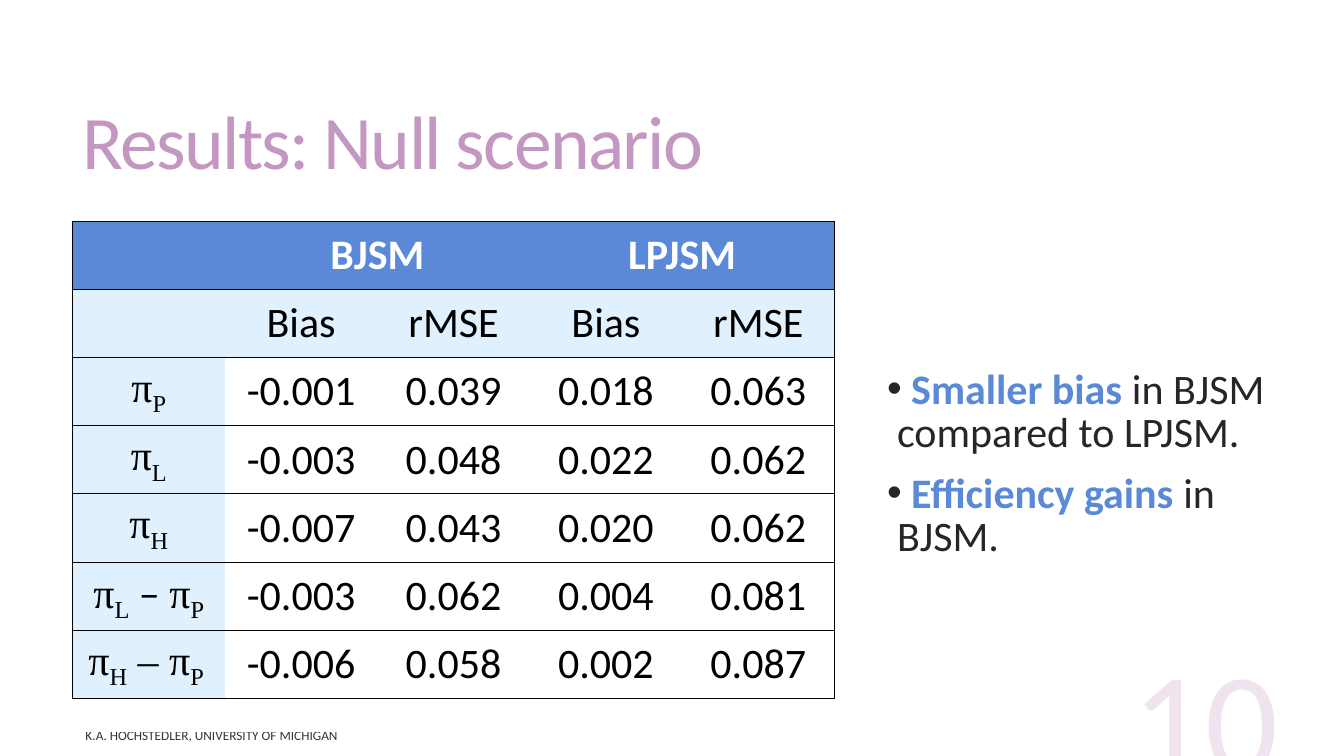
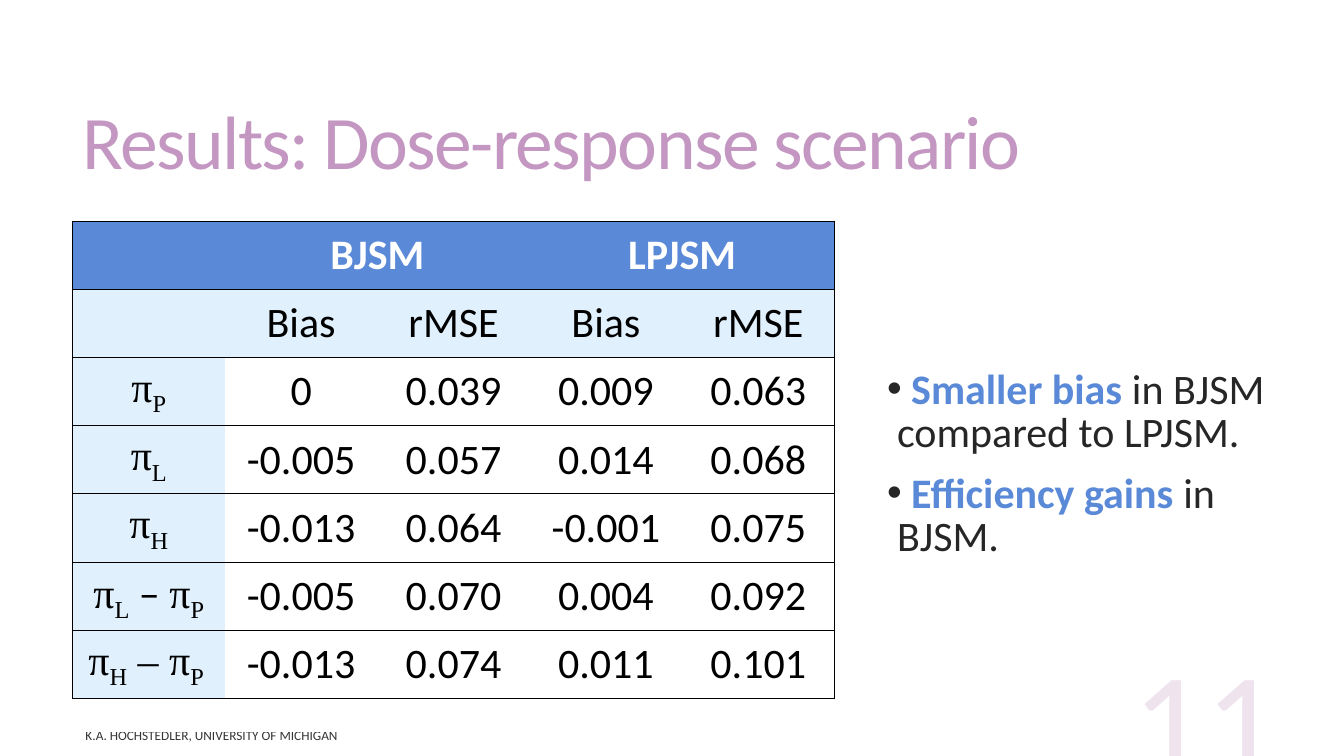
from dataclasses import dataclass
from typing import Optional

from lxml.etree import SubElement
from pptx import Presentation
from pptx.dml.color import RGBColor
from pptx.enum.text import MSO_ANCHOR, MSO_AUTO_SIZE, PP_ALIGN
from pptx.oxml.ns import qn
from pptx.util import Pt


@dataclass(frozen=True)
class Theme:
    sans: str = "Calibri"
    serif: str = "Times New Roman"
    mauve: str = "C397C1"
    blue: str = "5989D7"
    pale_blue: str = "E0F0FC"
    black: str = "000000"
    white: str = "FFFFFF"
    charcoal: str = "262626"
    title_size: float = 54
    text_size: float = 30
    footer_size: float = 9.5
    number_size: float = 103
    border_width: float = 0.75
    line_spacing: float = 0.85


@dataclass(frozen=True)
class Box:
    left: float
    top: float
    width: float
    height: float

    def lengths(self):
        return Pt(self.left), Pt(self.top), Pt(self.width), Pt(self.height)


@dataclass(frozen=True)
class Span:
    text: str
    font: Optional[str] = None
    color: Optional[str] = None
    bold: Optional[bool] = None
    subscript: bool = False


THEME = Theme()
PAGE_WIDTH, PAGE_HEIGHT = 960, 540
NO_STYLE_NO_GRID = "{2D5ABB26-0587-4C30-8999-92F81FD0307C}"

TITLE_BOX = Box(51.84, 39.6, 848.16, 130.32)
TABLE_BOX = Box(51.84, 157.9, 544.3, 341.25)
LIST_BOX = Box(626.4, 260.64, 321.84, 121.68)
NUMBER_BOX = Box(689.76, 462.96, 230.4, 110.16)
FOOTER_BOX = Box(54, 516.24, 396, 18)

FOOTER = "K.A. HOCHSTEDLER, UNIVERSITY OF MICHIGAN"
METHODS = ("BJSM", "LPJSM")
MEASURES = ("Bias", "rMSE")
PI = Span("π")


def sub(letter):
    return Span(letter, subscript=True)


ROW_LABELS = (
    (PI, sub("P")),
    (PI, sub("L")),
    (PI, sub("H")),
    (PI, sub("L"), Span(" – ", font=THEME.sans), PI, sub("P")),
    (PI, sub("H"), Span(" – π"), sub("P ")),
)
FINDINGS = (
    ("Smaller bias ", "in BJSM compared to LPJSM."),
    ("Efficiency gains ", "in BJSM."),
)
SCENARIOS = (
    (10, "Results: Null scenario", (
        ("-0.001", "0.039", "0.018", "0.063"),
        ("-0.003", "0.048", "0.022", "0.062"),
        ("-0.007", "0.043", "0.020", "0.062"),
        ("-0.003", "0.062", "0.004", "0.081"),
        ("-0.006", "0.058", "0.002", "0.087"),
    )),
    (11, "Results: Dose-response scenario", (
        ("0", "0.039", "0.009", "0.063"),
        ("-0.005", "0.057", "0.014", "0.068"),
        ("-0.013", "0.064", "-0.001", "0.075"),
        ("-0.005", "0.070", "0.004", "0.092"),
        ("-0.013", "0.074", "0.011", "0.101"),
    )),
)


def write(para, spans, size, color, font=THEME.sans, bold=False, align=PP_ALIGN.LEFT):
    """Fill a paragraph; spans carry only what differs from its font."""
    para.alignment = align
    para.font.name = font
    para.font.size = Pt(size)
    para.font.bold = bold
    para.font.color.rgb = RGBColor.from_string(color)
    for span in spans:
        run = para.add_run()
        run.text = span.text
        if span.font:
            run.font.name = span.font
        if span.color:
            run.font.color.rgb = RGBColor.from_string(span.color)
        if span.bold is not None:
            run.font.bold = span.bold
        if span.subscript:
            run._r.get_or_add_rPr().set("baseline", "-25000")


def set_opacity(para, percent):
    for color in para._p.iter(qn("a:srgbClr")):
        SubElement(color, qn("a:alpha"), val=str(percent * 1000))


def place(placeholder, box, anchor):
    """Move a placeholder and return its text frame."""
    placeholder.left, placeholder.top, placeholder.width, placeholder.height = box.lengths()
    frame = placeholder.text_frame
    frame.auto_size = MSO_AUTO_SIZE.NONE
    frame.word_wrap = True
    frame.vertical_anchor = anchor
    return frame


def add_title(page, box, text):
    para = place(page.shapes.title, box, MSO_ANCHOR.MIDDLE).paragraphs[0]
    write(para, [Span(text)], THEME.title_size, THEME.mauve)
    para.line_spacing = THEME.line_spacing
    para.runs[0]._r.get_or_add_rPr().set("spc", "-120")


def add_findings(page, box):
    frame = place(page.placeholders[1], box, MSO_ANCHOR.TOP)
    for index, (lead, rest) in enumerate(FINDINGS):
        para = frame.add_paragraph() if index else frame.paragraphs[0]
        spans = [Span(" "), Span(lead, color=THEME.blue, bold=True), Span(rest)]
        para.line_spacing = THEME.line_spacing
        para.space_before = Pt(13)
        write(para, spans, THEME.text_size, THEME.charcoal)
        properties = para._p.get_or_add_pPr()
        properties.set("marL", str(Pt(7.2)))
        properties.set("indent", str(-Pt(7.2)))
        bullet = SubElement(properties, qn("a:buChar"), char="•")
        properties.find(qn("a:defRPr")).addprevious(bullet)


def add_faded_text(page, box, text, size, color, opacity, anchor, align):
    frame = page.shapes.add_textbox(*box.lengths()).text_frame
    frame.word_wrap = True
    frame.vertical_anchor = anchor
    para = frame.paragraphs[0]
    write(para, [Span(text)], size, color, align=align)
    set_opacity(para, opacity)
    return frame


def add_page_number(page, box, number):
    frame = add_faded_text(page, box, str(number), THEME.number_size, THEME.mauve,
                           25, MSO_ANCHOR.BOTTOM, PP_ALIGN.RIGHT)
    frame.margin_bottom = 0


def add_footer(page, box):
    add_faded_text(page, box, FOOTER, THEME.footer_size, THEME.black,
                   80, MSO_ANCHOR.MIDDLE, PP_ALIGN.LEFT)


def format_cell(cell, edges, fill):
    """Rule the given edges (a subset of "LRTB", in that order), then fill."""
    cell.vertical_anchor = MSO_ANCHOR.MIDDLE
    properties = cell._tc.get_or_add_tcPr()
    for edge in edges:
        line = SubElement(properties, qn(f"a:ln{edge}"), w=str(Pt(THEME.border_width)))
        solid = SubElement(line, qn("a:solidFill"))
        SubElement(solid, qn("a:srgbClr"), val=THEME.black)
    if fill:
        cell.fill.solid()
        cell.fill.fore_color.rgb = RGBColor.from_string(fill)
    else:
        cell.fill.background()


def cell_fill(row, column):
    if row == 0:
        return THEME.blue
    return THEME.pale_blue if row == 1 or column == 0 else None


def add_results_table(page, box, results):
    row_count = 2 + len(ROW_LABELS)
    column_count = 1 + len(METHODS) * len(MEASURES)
    table = page.shapes.add_table(row_count, column_count, *box.lengths()).table
    table.first_row = table.horz_banding = False
    table._tbl.tblPr.find(qn("a:tableStyleId")).text = NO_STYLE_NO_GRID
    for column in table.columns:
        column.width = Pt(box.width / column_count)
    for row in table.rows:
        row.height = Pt(box.height / row_count)

    def fill_text(row, column, spans, color=THEME.black, **style):
        write(table.cell(row, column).text_frame.paragraphs[0], spans,
              THEME.text_size, color, align=PP_ALIGN.CENTER, **style)

    for index, method in enumerate(METHODS):
        first = 1 + index * len(MEASURES)
        last = first + len(MEASURES) - 1
        table.cell(0, first).merge(table.cell(0, last))
        fill_text(0, first, [Span(method)], THEME.white, bold=True)
    for row, label in enumerate(ROW_LABELS, 2):
        fill_text(row, 0, label, font=THEME.serif)
    for row, values in enumerate((MEASURES * len(METHODS), *results), 1):
        for column, value in enumerate(values, 1):
            fill_text(row, column, [Span(value)])

    for row in range(row_count):
        for column in range(column_count):
            cell = table.cell(row, column)
            left = "L" if column == 0 else ""
            right = "R" if column + cell.span_width == column_count else ""
            format_cell(cell, left + right + "TB", cell_fill(row, column))


def add_results_page(deck, number, title, results):
    page = deck.slides.add_slide(deck.slide_layouts[1])
    add_title(page, TITLE_BOX, title)
    add_page_number(page, NUMBER_BOX, number)
    add_results_table(page, TABLE_BOX, results)
    add_findings(page, LIST_BOX)
    add_footer(page, FOOTER_BOX)


def main():
    deck = Presentation()
    deck.slide_width, deck.slide_height = Pt(PAGE_WIDTH), Pt(PAGE_HEIGHT)
    for scenario in SCENARIOS:
        add_results_page(deck, *scenario)
    deck.save("out.pptx")


if __name__ == "__main__":
    main()
